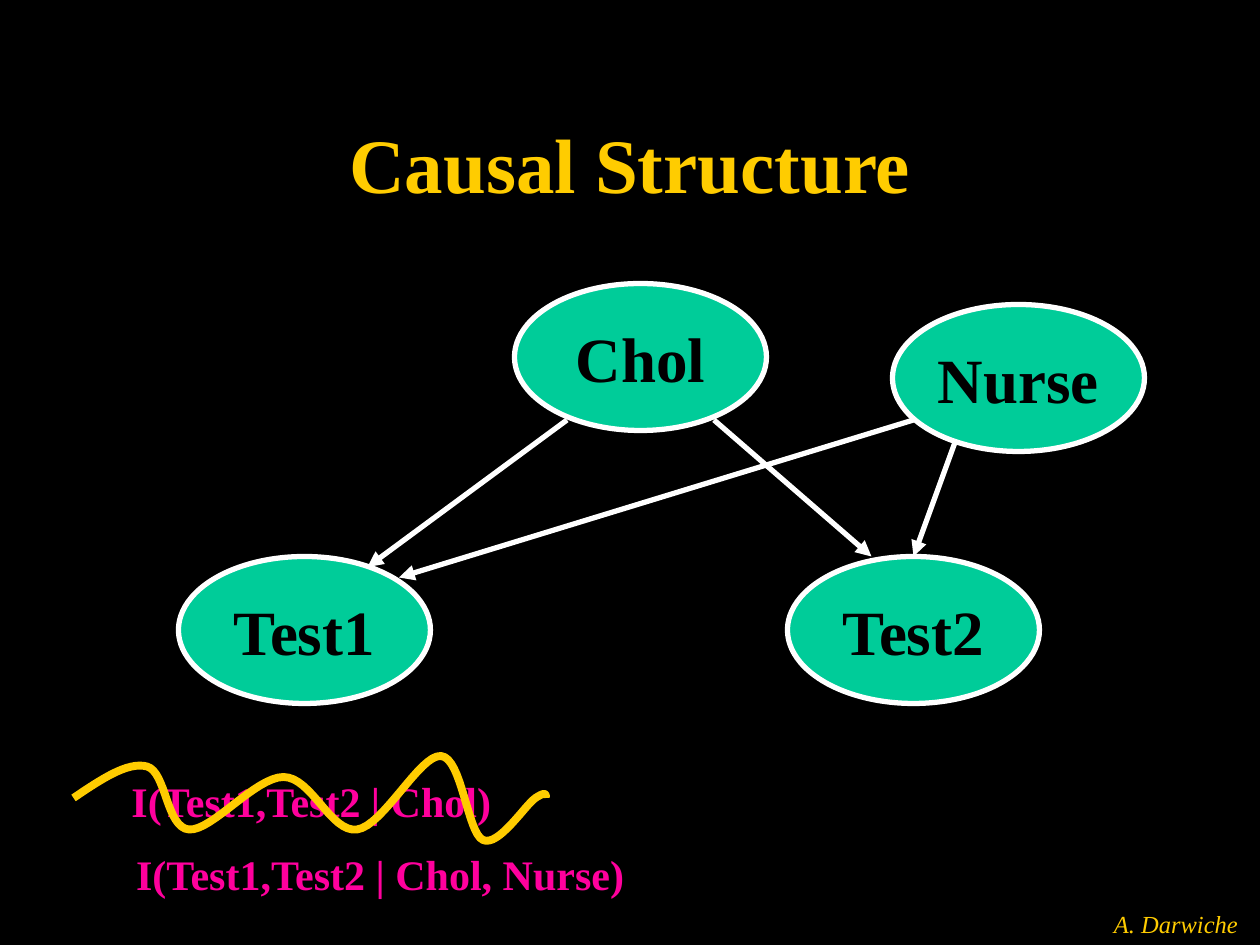
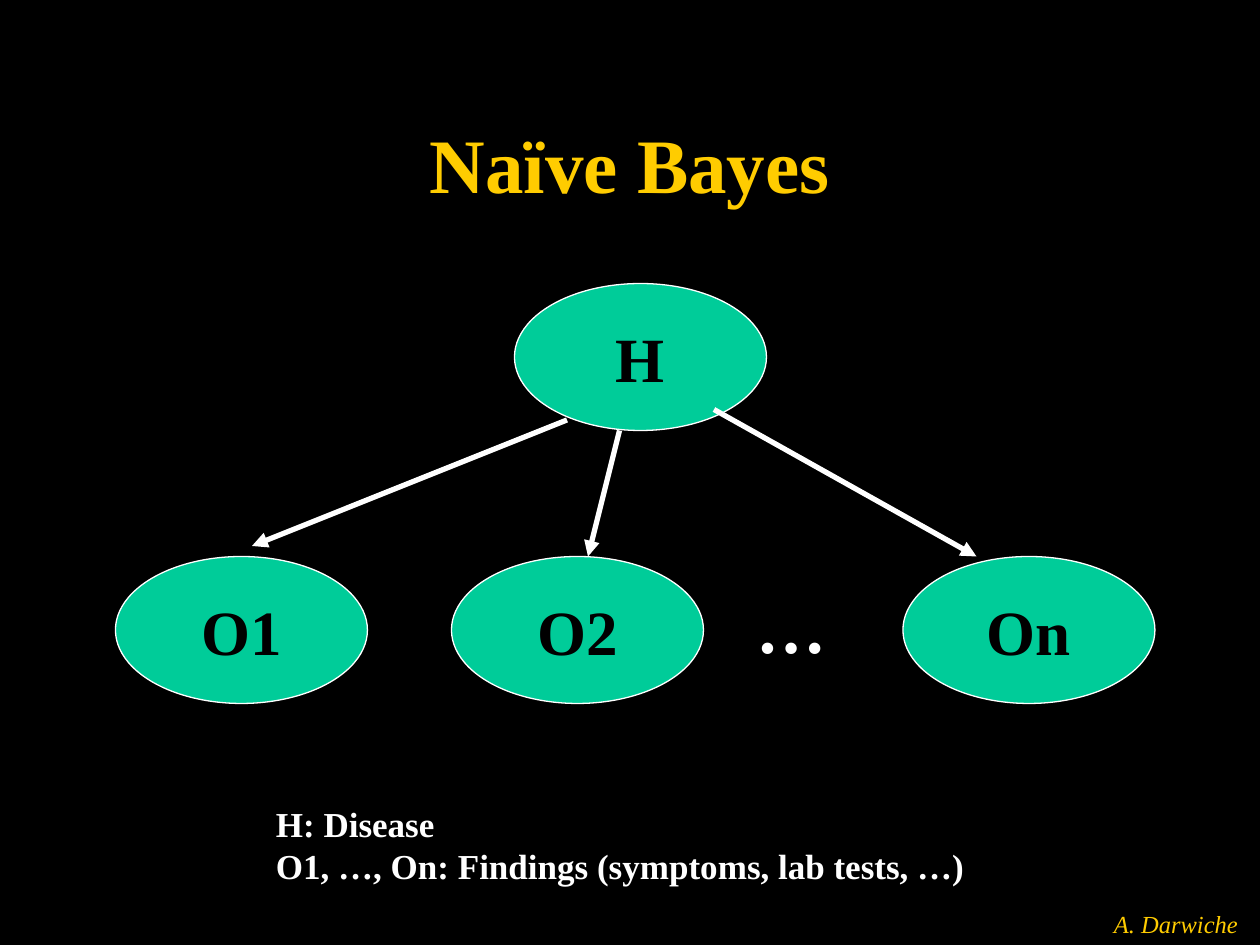
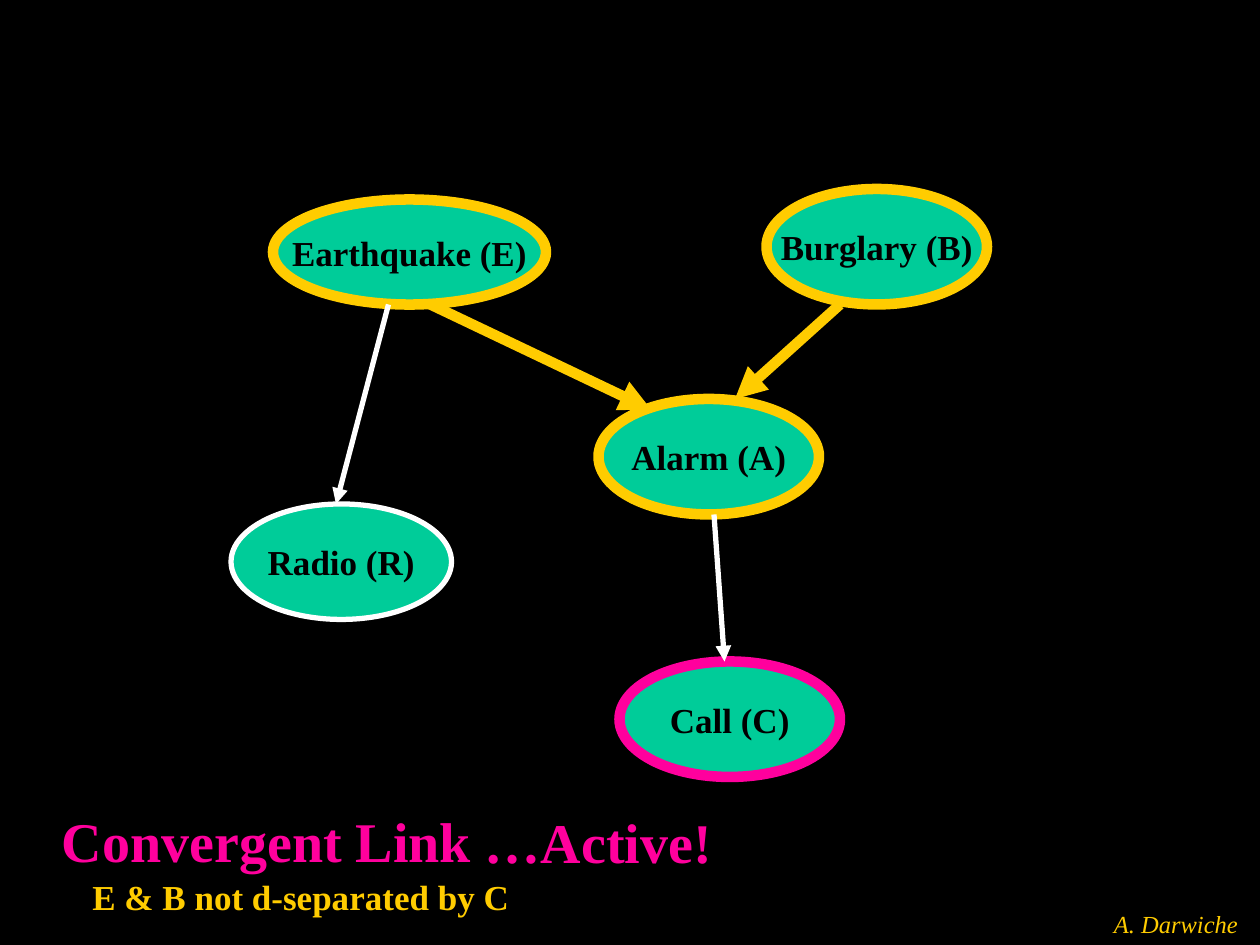
from lxml import etree
from pptx import Presentation
from pptx.dml.color import RGBColor
from pptx.enum.shapes import MSO_CONNECTOR as Conn, MSO_SHAPE as Shape
from pptx.enum.text import MSO_ANCHOR as Anchor, MSO_AUTO_SIZE as Fit, PP_ALIGN as Align
from pptx.oxml.ns import qn
from pptx.util import Emu, Inches, Pt

BLACK = RGBColor(0x00, 0x00, 0x00)
WHITE = RGBColor(0xFF, 0xFF, 0xFF)
GOLD = RGBColor(0xFF, 0xCC, 0x00)
GREEN = RGBColor(0x00, 0xCC, 0x99)
PINK = RGBColor(0xFF, 0x00, 0x9D)
FONT = "Times New Roman"

# The slide is a grid of 120 columns by 90 rows; all places are in its cells.
CELL = Inches(1) / 12
TITLE = (9, 8, 102, 15)
FOOTER = (104, 85, 16, 6)
BIG, SMALL = (24, 14), (21, 11)

# node: text, (left, top), size, line colour, line width
# arrow: from, to, colour, width
# note: lines, box, text size, colour, alignment
SLIDES = [
    dict(
        title="Causal Structure",
        label=36,
        nodes=[
            ("Chol", (49, 27), BIG, WHITE, 3),
            ("Test1", (17, 53), BIG, WHITE, 3),
            ("Test2", (75, 53), BIG, WHITE, 3),
            ("Nurse", (85, 29), BIG, WHITE, 3),
        ],
        arrows=[
            ((68, 40), (83, 53), WHITE, 3),
            ((54, 40), (35, 54), WHITE, 3),
            ((87, 40), (38, 55), WHITE, 3),
            ((91, 42), (87, 53), WHITE, 3),
        ],
        notes=[
            (["I(Test1,Test2 | Chol, Nurse)"], (11.4, 80.2, 49.6, 6), 24, PINK, Align.CENTER),
            (["I(Test1,Test2 | Chol)"], (11, 73.3, 37.3, 6), 24, PINK, Align.CENTER),
        ],
        strike=[(7, 76), (14, 73), (18, 79), (27, 74), (34, 79),
                (42, 72), (46, 80), (51, 76), (52, 76)],
    ),
    dict(
        title="Naïve Bayes",
        label=36,
        nodes=[
            ("H", (49, 27), BIG, WHITE, 0.75),
            ("O1", (11, 53), BIG, WHITE, 0.75),
            ("O2", (43, 53), BIG, WHITE, 0.75),
            ("On", (86, 53), BIG, WHITE, 0.75),
        ],
        arrows=[
            ((54, 40), (24, 52), WHITE, 3),
            ((59, 41), (56, 53), WHITE, 3),
            ((68, 39), (93, 53), WHITE, 3),
        ],
        notes=[
            (["H: Disease", "O1, …, On: Findings (symptoms, lab tests, …)"],
             (25.1, 75.8, 67.9, 9.2), 20, WHITE, Align.LEFT),
            (["…"], (70.9, 55, 9, 9.2), 40, WHITE, Align.CENTER),
        ],
    ),
    dict(
        label=20,
        nodes=[
            ("Earthquake (E)", (26, 19), (26, 10), GOLD, 6),
            ("Burglary (B)", (73, 18), SMALL, GOLD, 6),
            ("Alarm (A)", (57, 38), SMALL, GOLD, 6),
            ("Call (C)", (59, 63), SMALL, PINK, 6),
            ("Radio (R)", (22, 48), SMALL, WHITE, 3),
        ],
        arrows=[
            ((37, 29), (32, 48), WHITE, 3),
            ((41, 29), (62, 39), GOLD, 6),
            ((80, 29), (70, 38), GOLD, 6),
            ((68, 49), (69, 63), WHITE, 3),
        ],
        notes=[
            (["Convergent Link"], (4.7, 76.2, 41.4, 7.7), 32, PINK, Align.CENTER),
            (["E & B not d-separated by C"], (7.6, 82.8, 42.1, 5.3), 20, GOLD, Align.CENTER),
            (["…Active!"], (45, 76.3, 24, 7.7), 32, PINK, Align.CENTER),
        ],
    ),
]


def cells(*nums):
    return [Emu(round(n * CELL)) for n in nums]


def write(shape, lines, size, color, align=Align.CENTER, anchor=Anchor.MIDDLE, italic=False):
    frame = shape.text_frame
    frame.text = "\n".join(lines)
    frame.word_wrap = False
    frame.auto_size = Fit.NONE
    frame.vertical_anchor = anchor
    for para in frame.paragraphs:
        para.alignment = align
        font = para.font
        font.name, font.size = FONT, Pt(size)
        font.bold, font.italic = not italic, italic
        font.color.rgb = color


def stroke(shape, color, width):
    shape.line.color.rgb = color
    shape.line.width = Pt(width)


def add_node(slide, size, text, spot, dims, color, width):
    node = slide.shapes.add_shape(Shape.OVAL, *cells(*spot, *dims))
    node.shadow.inherit = False
    node.fill.solid()
    node.fill.fore_color.rgb = GREEN
    stroke(node, color, width)
    write(node, [text], size, BLACK)


def add_arrow(slide, start, end, color, width):
    arrow = slide.shapes.add_connector(Conn.STRAIGHT, *cells(*start, *end))
    stroke(arrow, color, width)
    etree.SubElement(arrow.line._get_or_add_ln(), qn("a:tailEnd"), type="triangle")
    etree.SubElement(arrow._element.spPr, qn("a:effectLst"))


def add_note(slide, lines, box, size, color, align):
    note = slide.shapes.add_textbox(*cells(*box))
    write(note, lines, size, color, align, Anchor.TOP)


def curve(knots, steps=16):
    """Points of a smooth cubic path through the knots."""
    def shift(i, sign):
        return [k + sign * (b - a) / 6
                for a, k, b in zip(knots[i - 1], knots[i], knots[i + 1])]

    def middle(a, b):
        return [(m + n) / 2 for m, n in zip(a, b)]

    points, last = [knots[0]], len(knots) - 1
    for i in range(last):
        p, q = knots[i], knots[i + 1]
        c = shift(i, 1) if i else middle(p, shift(1, -1))
        d = shift(i + 1, -1) if i + 1 < last else middle(q, c)
        for step in range(1, steps + 1):
            t = step / steps
            s = 1 - t
            points.append([s**3 * w + 3 * s * s * t * x + 3 * s * t * t * y + t**3 * z
                           for w, x, y, z in zip(p, c, d, q)])
    return points


def add_strike(slide, knots):
    first, *rest = [cells(*point) for point in curve(knots)]
    path = slide.shapes.build_freeform(*first)
    path.add_line_segments(rest, close=False)
    wave = path.convert_to_shape()
    wave.shadow.inherit = False
    wave.fill.background()
    stroke(wave, GOLD, 4.5)


def add_slide(deck, data):
    title = data.get("title")
    slide = deck.slides.add_slide(deck.slide_layouts[5 if title else 6])
    if title:
        head = slide.shapes.title
        head.left, head.top, head.width, head.height = cells(*TITLE)
        write(head, [title], 44, GOLD)
    foot = slide.shapes.add_textbox(*cells(*FOOTER))
    write(foot, ["A. Darwiche"], 14, GOLD, italic=True)
    for node in data["nodes"]:
        add_node(slide, data["label"], *node)
    for arrow in data["arrows"]:
        add_arrow(slide, *arrow)
    for note in data["notes"]:
        add_note(slide, *note)
    if "strike" in data:
        add_strike(slide, data["strike"])


def main():
    deck = Presentation()
    deck.slide_width, deck.slide_height = cells(120, 90)
    back = deck.slide_master.background.fill
    back.solid()
    back.fore_color.rgb = BLACK
    for data in SLIDES:
        add_slide(deck, data)
    deck.save("out.pptx")


if __name__ == "__main__":
    main()
